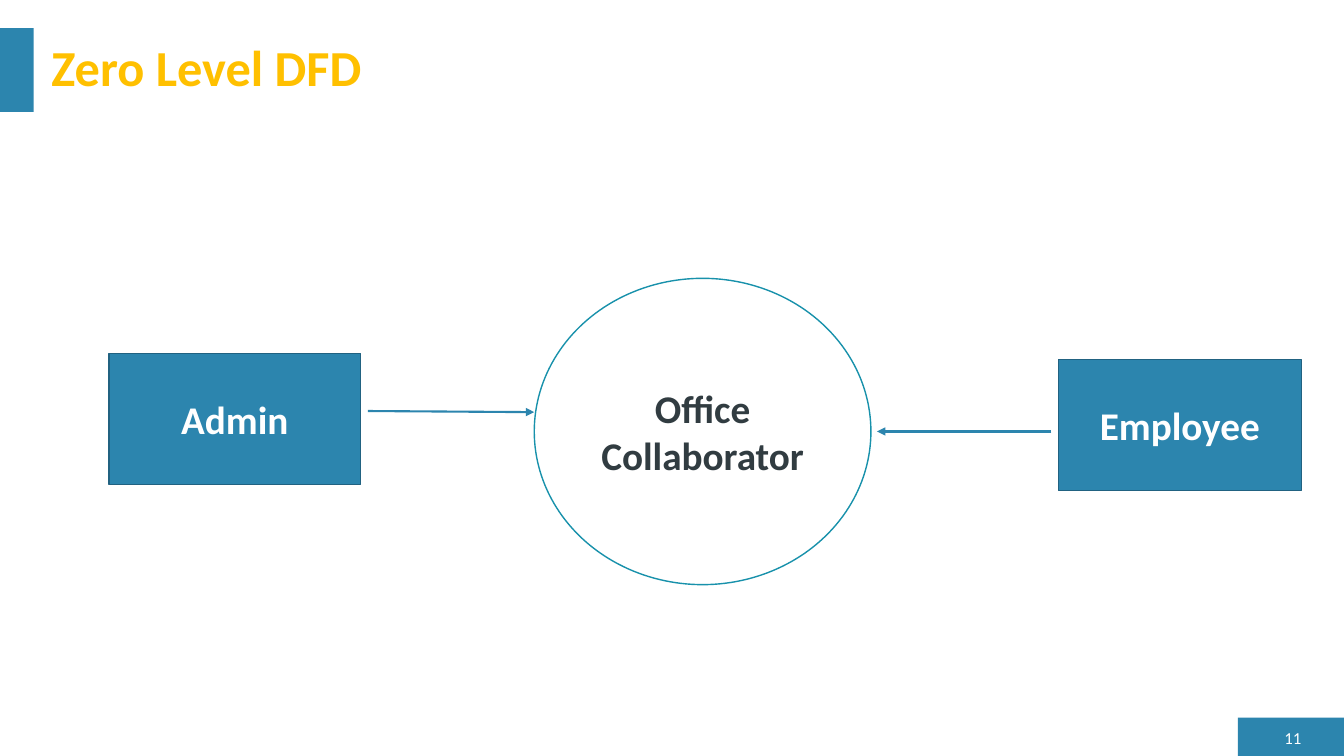
from dataclasses import dataclass

from lxml import etree
from pptx import Presentation
from pptx import util as u
from pptx.dml.color import RGBColor
from pptx.enum import shapes, text
from pptx.oxml.ns import qn


@dataclass(frozen=True)
class Theme:
    font: str = "Calibri"
    accent: str = "2C85AE"
    edge: str = "216281"
    ring: str = "1891AB"
    gold: str = "FFC000"
    ink: str = "313C41"
    white: str = "FFFFFF"
    title_size: int = 36
    label_size: int = 28
    number_size: int = 12
    outline: float = 1
    flow: float = 1.5


class DiagramSlide:
    COLUMNS, ROWS = 40, 27

    def __init__(self, deck, theme):
        self.theme = theme
        self.column = deck.slide_width / self.COLUMNS
        self.row = deck.slide_height / self.ROWS
        self.slide = deck.slides.add_slide(deck.slide_layouts[5])

    def point(self, column, row):
        return round(column * self.column), round(row * self.row)

    def area(self, column, row, columns, rows):
        return *self.point(column, row), *self.point(columns, rows)

    def label(self, frame, words, size, color, align, bold=True):
        frame.word_wrap = True
        frame.auto_size = text.MSO_AUTO_SIZE.NONE
        frame.vertical_anchor = text.MSO_ANCHOR.MIDDLE
        paragraph = frame.paragraphs[0]
        paragraph.alignment = align
        run = paragraph.add_run()
        run.text = words
        run.font.name = self.theme.font
        run.font.size = u.Pt(size)
        run.font.bold = bold
        run.font.color.rgb = RGBColor.from_string(color)
        return paragraph

    def title(self, words, *cells):
        heading = self.slide.shapes.title
        heading.left, heading.top, heading.width, heading.height = self.area(*cells)
        paragraph = self.label(heading.text_frame, words, self.theme.title_size,
                               self.theme.gold, text.PP_ALIGN.LEFT)
        paragraph.line_spacing = 0.9

    def block(self, kind, cells, fill, edge=None):
        block = self.slide.shapes.add_shape(kind, *self.area(*cells))
        block.shadow.inherit = False
        block.fill.solid()
        block.fill.fore_color.rgb = RGBColor.from_string(fill)
        if edge:
            block.line.color.rgb = RGBColor.from_string(edge)
            block.line.width = u.Pt(self.theme.outline)
        else:
            block.line.fill.background()
        return block

    def accent(self, *cells):
        self.block(shapes.MSO_SHAPE.RECTANGLE, cells, self.theme.accent)

    def entity(self, words, *cells):
        entity = self.block(shapes.MSO_SHAPE.RECTANGLE, cells,
                            self.theme.accent, self.theme.edge)
        self.label(entity.text_frame, words, self.theme.label_size,
                   self.theme.white, text.PP_ALIGN.CENTER)

    def process(self, words, *cells):
        process = self.block(shapes.MSO_SHAPE.OVAL, cells,
                             self.theme.white, self.theme.ring)
        self.label(process.text_frame, words, self.theme.label_size,
                   self.theme.ink, text.PP_ALIGN.CENTER)

    def page_number(self, number, *cells):
        page = self.slide.shapes.add_textbox(*self.area(*cells))
        self.label(page.text_frame, number, self.theme.number_size,
                   self.theme.white, text.PP_ALIGN.RIGHT, bold=False)

    def flow(self, start, end):
        flow = self.slide.shapes.add_connector(
            shapes.MSO_CONNECTOR.STRAIGHT, *self.point(*start), *self.point(*end))
        flow.line.color.rgb = RGBColor.from_string(self.theme.accent)
        flow.line.width = u.Pt(self.theme.flow)
        outline = flow._element.spPr.find(qn("a:ln"))
        etree.SubElement(outline, qn("a:tailEnd"), type="triangle")
        etree.SubElement(flow._element.spPr, qn("a:effectLst"))


def main():
    deck = Presentation()
    deck.slide_width, deck.slide_height = u.Inches(13.33), u.Inches(7.5)
    dfd = DiagramSlide(deck, Theme())

    dfd.accent(36.84, 25.63, 3.16, 1.37)
    dfd.accent(0, 1, 1, 3)
    dfd.title("Zero Level DFD", 1.23, 1, 37.8, 3)
    dfd.page_number("11", 37.8, 25.92, 1.23, 0.83)

    dfd.process("Office Collaborator", 15.9, 9.94, 10.02, 10.94)
    dfd.entity("Admin", 3.24, 12.62, 7.5, 4.68)
    dfd.entity("Employee", 31.5, 12.85, 7.23, 4.68)
    dfd.flow((10.95, 14.68), (15.9, 14.72))
    dfd.flow((31.29, 15.41), (26.1, 15.41))

    deck.save("out.pptx")


if __name__ == "__main__":
    main()
